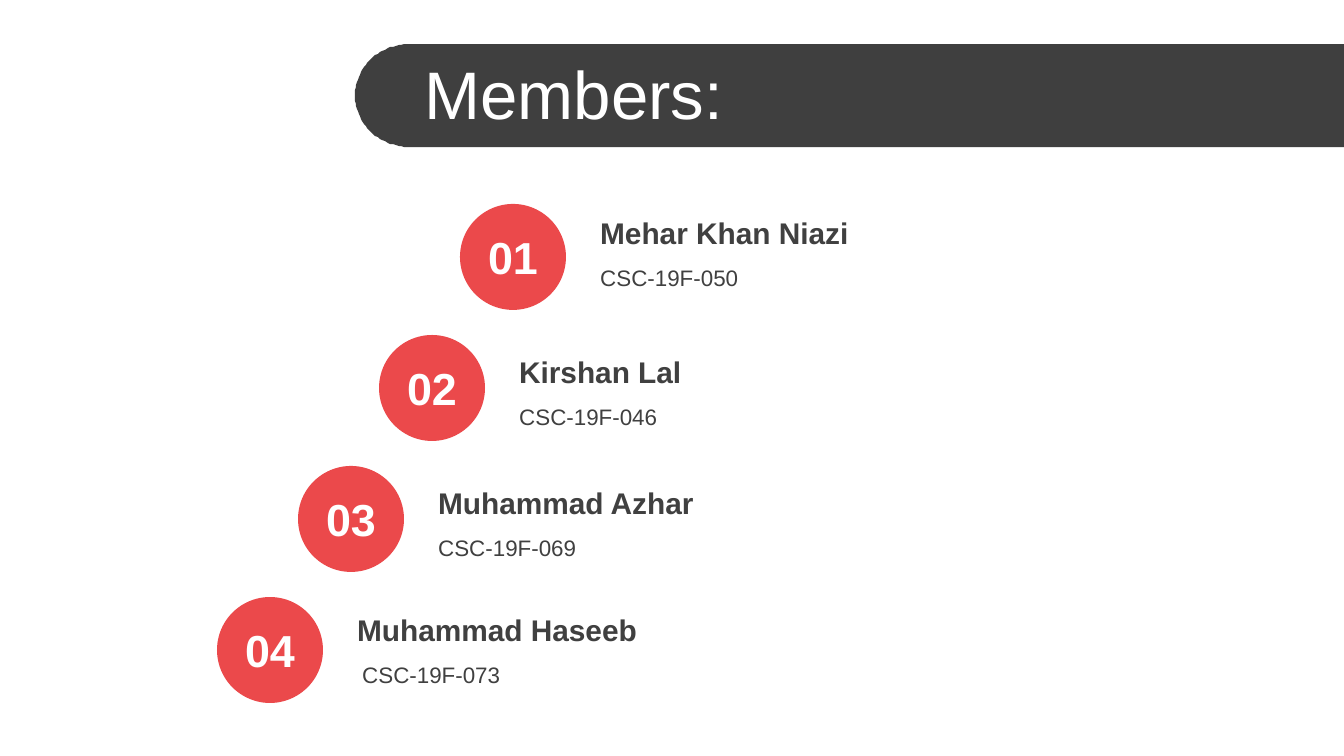
from math import cos, pi, sin

from pptx import Presentation
from pptx.dml.color import RGBColor
from pptx.enum.shapes import MSO_SHAPE
from pptx.enum.text import MSO_ANCHOR, MSO_AUTO_SIZE, PP_ALIGN
from pptx.util import Emu, Pt

OVAL = MSO_SHAPE.OVAL
MIDDLE = MSO_ANCHOR.MIDDLE
NO_AUTOFIT = MSO_AUTO_SIZE.NONE
LEFT, CENTER = PP_ALIGN.LEFT, PP_ALIGN.CENTER

WHITE = RGBColor(0xFF, 0xFF, 0xFF)
DARK = RGBColor(0x3F, 0x3F, 0x3F)
GREY = RGBColor(0x40, 0x40, 0x40)
RED = RGBColor(0xEB, 0x49, 0x4B)

FONT = "Arial"
SLIDE_W, SLIDE_H = 1344, 756
SCALE = 9144000 / SLIDE_W  # EMU per px

# Name, code, drop of the text below the top of the badge, indent of the code
MEMBERS = [
    ("Mehar Khan Niazi", "CSC-19F-050", 4, 0),
    ("Kirshan Lal", "CSC-19F-046", 12, 0),
    ("Muhammad Azhar", "CSC-19F-069", 12, 0),
    ("Muhammad Haseeb", "CSC-19F-073", 8, 5),
]


def px(n):
    return Emu(round(n * SCALE))


def box(x, y, w, h):
    return px(x), px(y), px(w), px(h)


def paint(sp, color):
    sp.fill.solid()
    sp.fill.fore_color.rgb = color
    sp.line.fill.background()
    sp.shadow.inherit = False


def write(sp, text, size, color, bold=False, align=LEFT):
    tf = sp.text_frame
    tf.word_wrap = True
    tf.auto_size = NO_AUTOFIT
    tf.vertical_anchor = MIDDLE
    p = tf.paragraphs[0]
    p.alignment = align
    r = p.add_run()
    r.text = text
    r.font.name = FONT
    r.font.size = Pt(size)
    r.font.bold = bold
    r.font.color.rgb = color


def add_banner(s, x, y, w, h):
    """Draw the title bar, rounded on its left end, and fill in the title."""
    rx, ry, steps = 55, h / 2, 60
    arc = [(x + rx - rx * sin(pi * i / steps), y + ry + ry * cos(pi * i / steps))
           for i in range(steps + 1)]
    builder = s.shapes.build_freeform(x + w, y, scale=SCALE)
    builder.add_line_segments([(x + w, y + h)] + arc, close=True)
    bar = builder.convert_to_shape()
    paint(bar, DARK)

    title = s.shapes.title
    title.left, title.top, title.width, title.height = box(x + 56, y + 6, w - 56, 85)
    write(title, "Members:", 36, WHITE)
    # Bring the title in front of the bar
    bar._element.addnext(title._element)


def add_member(s, x, y, number, name, code, drop, indent):
    """Draw a numbered badge with its name and code on the right."""
    size = 106
    badge = s.shapes.add_shape(OVAL, *box(x, y, size, size))
    paint(badge, RED)
    tf = badge.text_frame
    tf.margin_left = tf.margin_right = 0
    write(badge, f"{number:02d}", 24, WHITE, bold=True, align=CENTER)

    text_x, text_y, text_w = x + 127, y + drop, 677
    name_box = s.shapes.add_textbox(*box(text_x, text_y, text_w, 50))
    write(name_box, name, 16, GREY, bold=True)
    code_box = s.shapes.add_textbox(*box(text_x + indent, text_y + 50, text_w, 40))
    write(code_box, code, 12, GREY)


def main():
    prs = Presentation()
    prs.slide_width, prs.slide_height = px(SLIDE_W), px(SLIDE_H)
    s = prs.slides.add_slide(prs.slide_layouts[5])
    add_banner(s, 355, 44, SLIDE_W - 355, 103)
    for i, member in enumerate(MEMBERS):
        add_member(s, 460 - 81 * i, 204 + 131 * i, i + 1, *member)
    prs.save("out.pptx")


if __name__ == "__main__":
    main()
